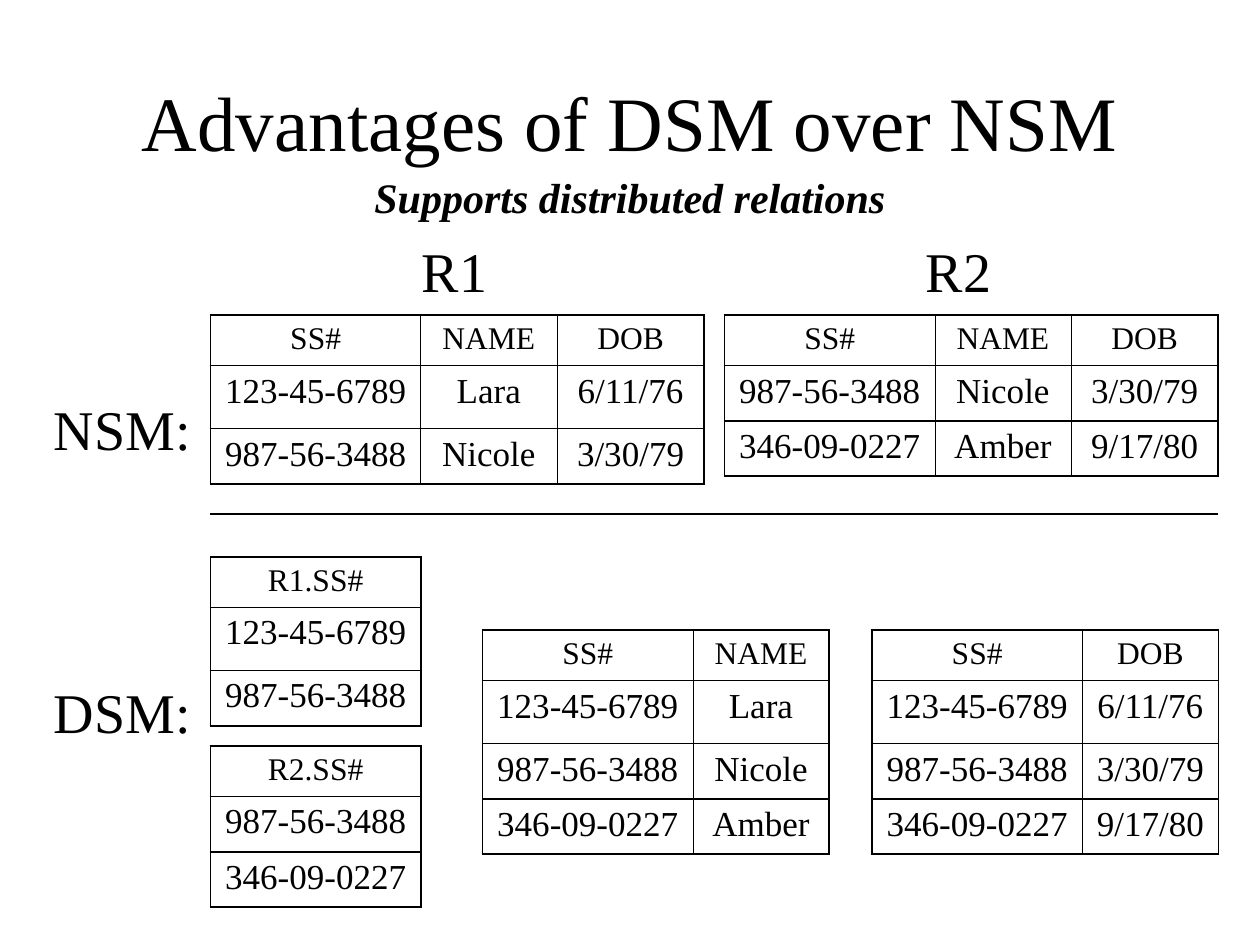
"""Build a slide comparing NSM and DSM storage of two relations."""
import pptx
import pptx.dml.color
import pptx.enum.shapes
import pptx.enum.text
import pptx.oxml
import pptx.oxml.ns
import pptx.util
from pptx.util import Inches

BLACK = pptx.dml.color.RGBColor(0, 0, 0)
FONT = "Times New Roman"
CENTER = pptx.enum.text.PP_ALIGN.CENTER
LEFT = pptx.enum.text.PP_ALIGN.LEFT
MIDDLE = pptx.enum.text.MSO_ANCHOR.MIDDLE
TOP = pptx.enum.text.MSO_ANCHOR.TOP
OUTER, INNER = 1.08, 0.45

LARA = {"SS#": "123-45-6789", "NAME": "Lara", "DOB": "6/11/76"}
NICOLE = {"SS#": "987-56-3488", "NAME": "Nicole", "DOB": "3/30/79"}
AMBER = {"SS#": "346-09-0227", "NAME": "Amber", "DOB": "9/17/80"}


def write(paragraph, text, size, alignment):
    paragraph.text = text
    paragraph.alignment = alignment
    paragraph.font.name = FONT
    paragraph.font.size = pptx.util.Pt(size)
    paragraph.font.color.rgb = BLACK


def add_borders(cell, left, right):
    properties = cell._tc.get_or_add_tcPr()
    widths = {"lnL": left, "lnR": right, "lnT": OUTER, "lnB": OUTER}
    for position, (tag, width) in enumerate(widths.items()):
        properties.insert(position, pptx.oxml.parse_xml(
            f'<a:{tag} {pptx.oxml.ns.nsdecls("a")} w="{int(pptx.util.Pt(width))}">'
            f'<a:solidFill><a:srgbClr val="{BLACK}"/></a:solidFill></a:{tag}>'))


presentation = pptx.Presentation()
presentation.slide_width = Inches(10)
presentation.slide_height = Inches(7.5)
slide = presentation.slides.add_slide(presentation.slide_layouts[6])

labels = [
    ("Advantages of DSM over NSM", 0.75, 0.33, 8.5, 1.25, 44, CENTER, MIDDLE),
    ("Supports distributed relations", 2.75, 1.25, 4.5, 0.62, 24, CENTER, MIDDLE),
    ("NSM:", 0.33, 3.08, 1.42, 0.64, 32, LEFT, TOP),
    ("DSM:", 0.33, 5.33, 1.42, 0.64, 32, LEFT, TOP),
    ("R1", 3.25, 1.83, 0.83, 0.64, 32, LEFT, TOP),
    ("R2", 7.25, 1.83, 0.83, 0.64, 32, LEFT, TOP),
]
for text, left, top, width, height, size, alignment, anchor in labels:
    shape = slide.shapes.add_textbox(
        Inches(left), Inches(top), Inches(width), Inches(height))
    shape.text_frame.word_wrap = True
    shape.text_frame.vertical_anchor = anchor
    paragraph = shape.text_frame.paragraphs[0]
    write(paragraph, text, size, alignment)
    if text.startswith("Supports"):
        paragraph.font.bold = True
        paragraph.font.italic = True

divider = slide.shapes.add_connector(
    pptx.enum.shapes.MSO_CONNECTOR.STRAIGHT,
    Inches(1.67), Inches(4.08), Inches(9.67), Inches(4.08))
divider.line.color.rgb = BLACK
divider.line.width = pptx.util.Pt(0.75)
divider._element.spPr.append(
    pptx.oxml.parse_xml(f'<a:effectLst {pptx.oxml.ns.nsdecls("a")}/>'))

relations = [
    (1.67, 2.5, "", {"SS#": 1.67, "NAME": 1.08, "DOB": 1.17}, [LARA, NICOLE]),
    (5.75, 2.5, "", {"SS#": 1.67, "NAME": 1.08, "DOB": 1.17}, [NICOLE, AMBER]),
    (1.67, 4.42, "R1.", {"SS#": 1.67}, [LARA, NICOLE]),
    (1.67, 5.92, "R2.", {"SS#": 1.67}, [NICOLE, AMBER]),
    (3.83, 5, "", {"SS#": 1.67, "NAME": 1.08}, [LARA, NICOLE, AMBER]),
    (6.92, 5, "", {"SS#": 1.67, "DOB": 1.08}, [LARA, NICOLE, AMBER]),
]
for left, top, prefix, columns, people in relations:
    heights = [0.4] + [0.5 if person is LARA else 0.44 for person in people]
    frame = slide.shapes.add_table(
        len(heights), len(columns), Inches(left), Inches(top),
        Inches(sum(columns.values())), Inches(sum(heights)))
    table = frame.table
    table.first_row = False
    table.horz_banding = False
    for row, height in zip(table.rows, heights):
        row.height = Inches(height)
    last = len(columns) - 1
    for column, (field, width) in enumerate(columns.items()):
        table.columns[column].width = Inches(width)
        values = [prefix + field] + [person[field] for person in people]
        for row, value in enumerate(values):
            cell = table.cell(row, column)
            cell.fill.background()
            write(cell.text_frame.paragraphs[0], value, 20 if row else 18, CENTER)
            add_borders(cell, INNER if column else OUTER,
                        INNER if column < last else OUTER)

presentation.save("out.pptx")
